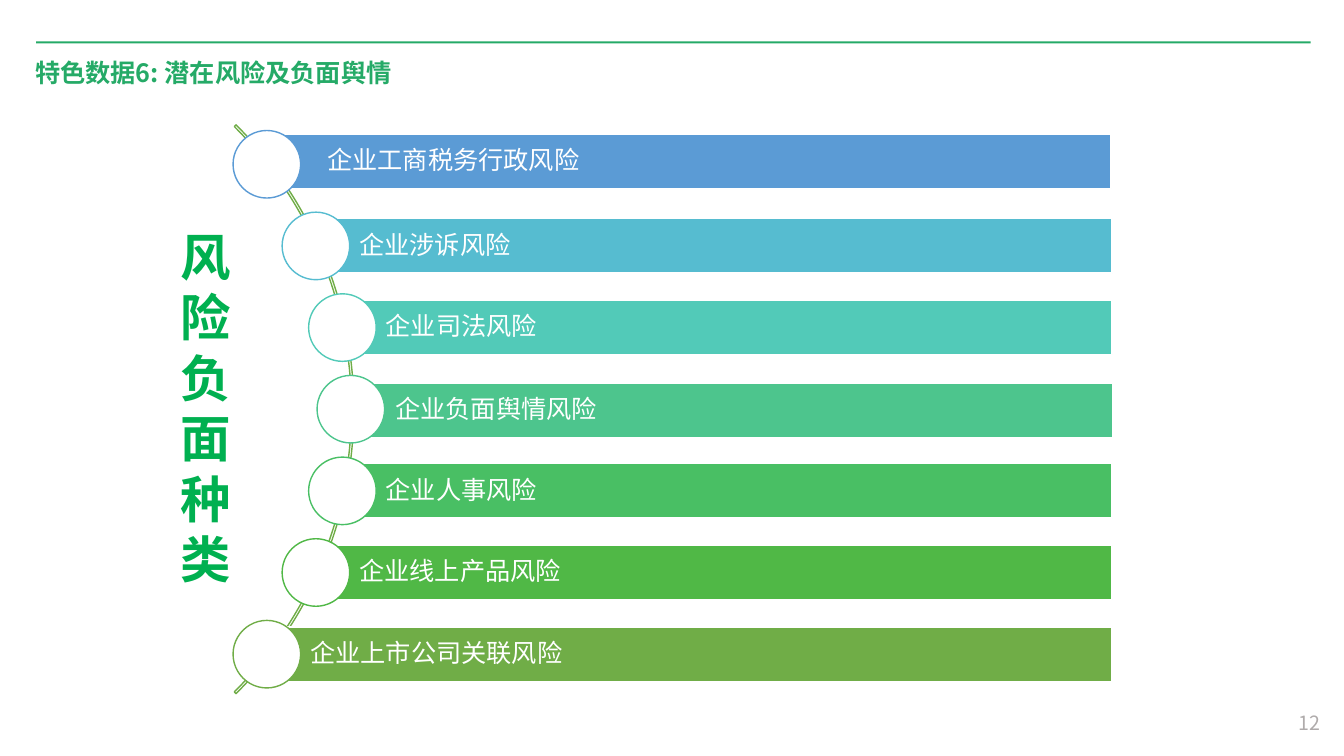
import math

import pptx
import pptx.util
from lxml import etree
from pptx.dml.color import RGBColor
from pptx.enum.shapes import MSO_SHAPE
from pptx.enum.text import MSO_ANCHOR
from pptx.oxml.ns import qn

Inches, Pt = pptx.util.Inches, pptx.util.Pt

FONT = "Noto Sans CJK JP"
WHITE = RGBColor(0xFF, 0xFF, 0xFF)
GREEN = RGBColor(0x25, 0xAA, 0x67)
HEADING = RGBColor(0x00, 0xB0, 0x50)
ARC = RGBColor(0x70, 0xAD, 0x47)
GREY = RGBColor(0xAF, 0xAB, 0xAB)

# label, colour, shift of the bar's left, right and top edges
RISKS = [
    ("企业工商税务行政风险", RGBColor(0x5B, 0x9B, 0xD5), 0.17, -0.01, -0.03),
    ("企业涉诉风险", RGBColor(0x56, 0xBC, 0xD0), 0, 0, 0),
    ("企业司法风险", RGBColor(0x52, 0xCA, 0xB8), 0, 0, 0),
    ("企业负面舆情风险", RGBColor(0x4D, 0xC5, 0x8D), 0.01, 0.01, 0.01),
    ("企业人事风险", RGBColor(0x49, 0xBF, 0x64), 0, 0, 0),
    ("企业线上产品风险", RGBColor(0x50, 0xB8, 0x46), 0, 0, 0),
    ("企业上市公司关联风险", ARC, 0, 0, 0),
]


def add_shape(s, kind, x, y, w, h, fill=None, line=None):
    sp = s.shapes.add_shape(kind, Inches(x), Inches(y), Inches(w), Inches(h))
    sp.shadow.inherit = False
    if fill is None:
        sp.fill.background()
    else:
        sp.fill.solid()
        sp.fill.fore_color.rgb = fill
    if line is None:
        sp.line.fill.background()
    else:
        sp.line.color.rgb = line
        sp.line.width = Pt(1)
    return sp


def add_text(s, x, y, w, h, lines, size, color, bold=False):
    sp = s.shapes.add_textbox(Inches(x), Inches(y), Inches(w), Inches(h))
    tf = sp.text_frame
    tf.word_wrap = True
    for i, line in enumerate(lines):
        p = tf.add_paragraph() if i else tf.paragraphs[0]
        r = p.add_run()
        r.text = line
        r.font.name = FONT
        r.font.size = Pt(size)
        r.font.bold = bold
        r.font.color.rgb = color
        etree.SubElement(r.font._element, qn("a:ea")).set("typeface", FONT)
    return tf


def add_header(s, x, y, w):
    add_shape(s, MSO_SHAPE.RECTANGLE, x, y, w, 0.02, GREEN)
    add_text(s, x - 0.11, y + 0.11, 3.76, 0.4,
             ["特色数据6: 潜在风险及负面舆情"], 18, GREEN, True)


def add_risk_bar(s, x, y, w, h, label, color):
    add_shape(s, MSO_SHAPE.RECTANGLE, x, y, w, h, color, WHITE)
    tf = add_text(s, x, y, w, h, [label], 18, WHITE)
    tf.vertical_anchor = MSO_ANCHOR.MIDDLE
    tf.margin_left = Inches(0.43)
    tf.margin_right = tf.margin_top = tf.margin_bottom = Inches(0.05)
    p = tf.paragraphs[0]
    p.line_spacing = 0.9
    p.space_after = Pt(6.3)


def add_risk_list(s, cx, cy, right, pitch):
    """Bars and circles whose left ends follow an arc centred on (cx, cy)."""
    outer, radius, bar_h, dot = 3.99, 3.96, 0.54, 0.67
    arc = add_shape(s, MSO_SHAPE.BLOCK_ARC, cx - outer, cy - outer,
                    2 * outer, 2 * outer, line=ARC)
    for i, value in enumerate((189, 27, 0.003)):  # 315 to 45 degrees, thin
        arc.adjustments[i] = value
    for i, (label, color, d_left, d_right, d_top) in enumerate(RISKS):
        dy = (i - (len(RISKS) - 1) / 2) * pitch
        x, y = cx + math.sqrt(radius ** 2 - dy ** 2), cy + dy
        left = x + d_left
        add_risk_bar(s, left, y - bar_h / 2 + d_top,
                     right + d_right - left, bar_h, label, color)
        add_shape(s, MSO_SHAPE.OVAL, x - dot / 2, y - dot / 2, dot, dot,
                  WHITE, color)


def main():
    prs = pptx.Presentation()
    prs.slide_width, prs.slide_height = Inches(13.33), Inches(7.5)
    s = prs.slides.add_slide(prs.slide_layouts[6])
    add_header(s, 0.36, 0.41, 12.64)
    add_text(s, 12.78, 7, 0.42, 0.34, ["12"], 14, GREY)
    add_risk_list(s, -0.48, 4.06, 11.03, 0.81)
    add_text(s, 1.69, 2.19, 1, 3.74, ["风", "险负面", "种", "类"],
             36, HEADING, True)
    prs.save("out.pptx")


if __name__ == "__main__":
    main()
